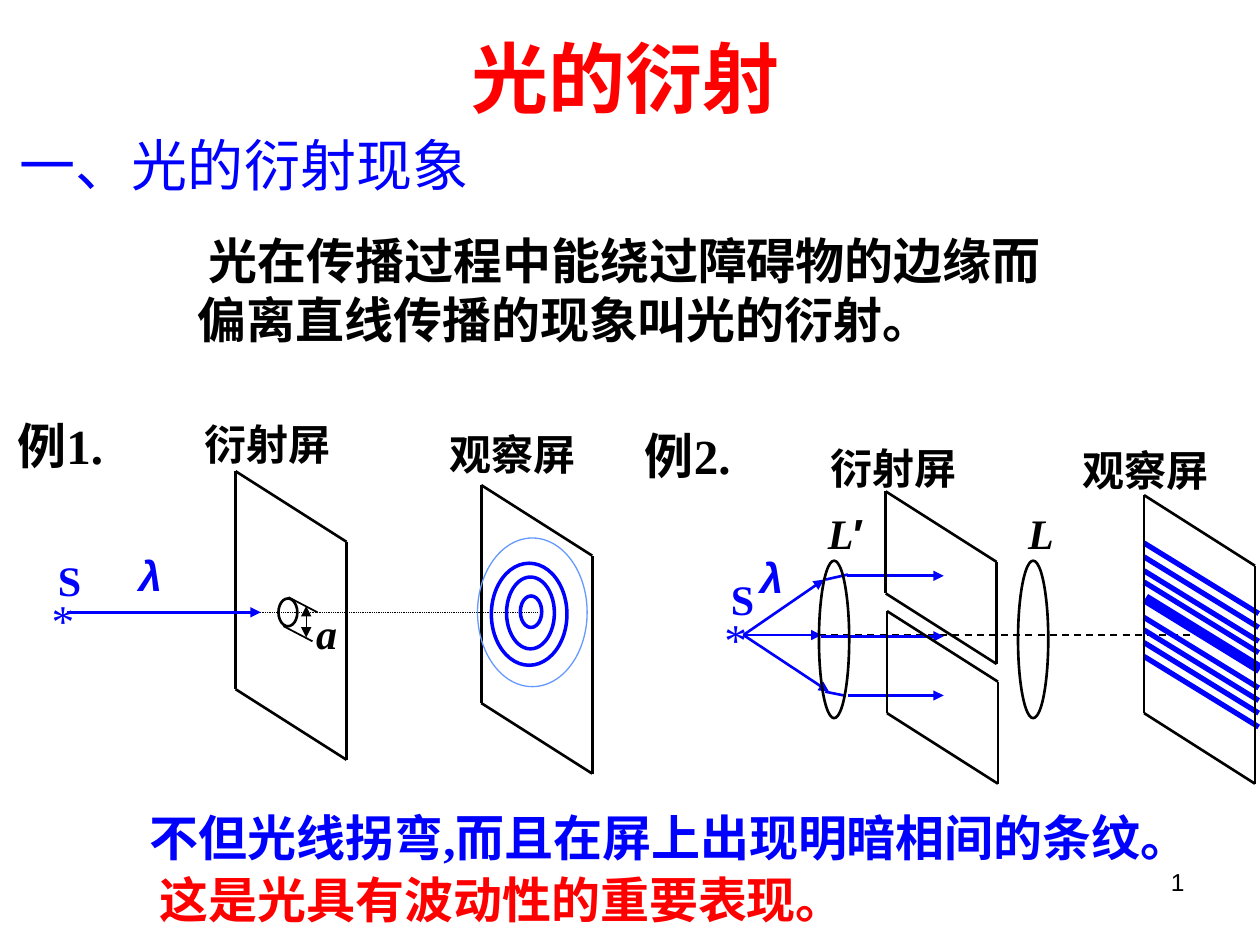
from lxml import etree
from pptx import Presentation
from pptx.dml.color import RGBColor
from pptx.enum.dml import MSO_LINE
from pptx.enum.shapes import MSO_CONNECTOR, MSO_SHAPE
from pptx.enum.text import MSO_ANCHOR, MSO_AUTO_SIZE, PP_ALIGN
from pptx.oxml.ns import qn
from pptx.util import Pt

PX = 9144
SLIDE_WIDTH, SLIDE_HEIGHT = 1000, 750
BLACK = RGBColor(0, 0, 0)
BLUE = RGBColor(0, 0, 255)
LIGHT_BLUE = RGBColor(102, 153, 255)
RED = RGBColor(255, 0, 0)
STRAIGHT, ELLIPSE = MSO_CONNECTOR.STRAIGHT, MSO_SHAPE.OVAL
DOT, DASH = MSO_LINE.ROUND_DOT, MSO_LINE.DASH
LEFT, CENTER, RIGHT, JUSTIFY = PP_ALIGN.LEFT, PP_ALIGN.CENTER, PP_ALIGN.RIGHT, PP_ALIGN.JUSTIFY
TOP, MIDDLE = MSO_ANCHOR.TOP, MSO_ANCHOR.MIDDLE
FIT_SHAPE, NO_FIT = MSO_AUTO_SIZE.SHAPE_TO_FIT_TEXT, MSO_AUTO_SIZE.NONE
TIMES, ARIAL = "Times New Roman", "Arial"
SANS_JP, SANS_SC = "Noto Sans CJK JP", "Noto Sans CJK SC"

TITLE = {"name": SANS_JP, "size": Pt(44), "bold": True}
HEADING = {"name": SANS_JP, "size": Pt(32), "bold": False}
DEFINITION = {"name": SANS_SC, "size": Pt(28), "bold": True}
STATEMENT = {"name": TIMES, "size": Pt(28), "bold": True}
LABEL = {"name": TIMES, "size": Pt(24), "bold": True}
SYMBOL = {**LABEL, "italic": True}
GREEK = {**SYMBOL, "name": ARIAL}
PRIME = {**LABEL, "name": ARIAL}
STAR = {"name": TIMES, "size": Pt(26), "bold": False}
NUMBER = {"name": ARIAL, "size": Pt(14), "bold": False}

PLANE_WIDTH, PLANE_RISE = 88, 56


def place(box, left, top):
    return (box[0] + left) * PX, (box[1] + top) * PX


def add_run(paragraph, text, style, color):
    run = paragraph.add_run()
    run.text = text
    for name, value in style.items():
        setattr(run.font, name, value)
    run.font.color.rgb = color
    east_asian = style["name"] if style["name"] in (SANS_JP, SANS_SC) else SANS_SC
    etree.SubElement(run.font._element, qn("a:ea"), typeface=east_asian)


def add_text(slide, box, area, lines, style, color, align=LEFT, anchor=TOP,
             wrap=False, inset=(10, 5)):
    left, top, width, height = area
    shape = slide.shapes.add_textbox(*place(box, left, top), width * PX, height * PX)
    frame = shape.text_frame
    settings = {
        "word_wrap": wrap,
        "auto_size": NO_FIT if wrap else FIT_SHAPE,
        "vertical_anchor": anchor,
        "margin_left": inset[0] * PX,
        "margin_right": inset[0] * PX,
        "margin_top": inset[1] * PX,
        "margin_bottom": inset[1] * PX,
    }
    for name, value in settings.items():
        setattr(frame, name, value)
    for index, text in enumerate(lines):
        paragraph = frame.add_paragraph() if index else frame.paragraphs[0]
        paragraph.alignment = align
        add_run(paragraph, text, style, color)
    return shape


def add_label(slide, box, area, text, style=LABEL, color=BLACK):
    return add_text(slide, box, area, [text], style, color, JUSTIFY, wrap=True, inset=(1, 1))


def add_line(slide, box, start, end, color=BLACK, weight=1.5, dash=None, arrows=()):
    connector = slide.shapes.add_connector(STRAIGHT, *place(box, *start), *place(box, *end))
    connector.line.color.rgb = color
    connector.line.width = Pt(weight)
    if dash:
        connector.line.dash_style = dash
    for arrow in arrows:
        etree.SubElement(connector.line._get_or_add_ln(), qn(arrow), type="triangle")
    etree.SubElement(connector._element.spPr, qn("a:effectLst"))


def add_ray(slide, box, start, end):
    add_line(slide, box, start, end, BLUE, arrows=["a:tailEnd"])


def add_ellipse(slide, box, area, color=BLACK, weight=1.5):
    left, top, width, height = area
    shape = slide.shapes.add_shape(ELLIPSE, *place(box, left, top), width * PX, height * PX)
    shape.shadow.inherit = False
    shape.fill.background()
    shape.line.color.rgb = color
    shape.line.width = Pt(weight)


def draw_plane(slide, box, left, top, height):
    right = left + PLANE_WIDTH
    for x, y in ((left, top), (right, top + PLANE_RISE)):
        add_line(slide, box, (x, y), (x, y + height))
    for y in (top, top + height):
        add_line(slide, box, (left, y), (right, y + PLANE_RISE))


def draw_source(slide, box, left, top):
    add_label(slide, box, (left, top + 30, 33, 43), "*", STAR, BLUE)
    add_label(slide, box, (left + 5, top, 36, 29), "S", LABEL, BLUE)


def draw_header(slide, box):
    add_text(slide, box, (130, 21, 733, 79), ["光的衍射"], TITLE, RED, CENTER, MIDDLE, wrap=True)
    add_text(slide, box, (6, 99, 451, 64), ["一、光的衍射现象"], HEADING, BLUE)
    definition = [" 光在传播过程中能绕过障碍物的边缘而", "偏离直线传播的现象叫光的衍射。"]
    add_text(slide, box, (147, 178, 689, 104), definition, DEFINITION, BLACK)


def draw_pinhole_example(slide, box):
    add_line(slide, box, (63, 161), (426, 161), weight=0.5, dash=DOT)
    add_text(slide, box, (4, 0, 97, 57), ["例1."], STATEMENT, BLACK)
    draw_source(slide, box, 40, 114)
    for left, top in ((187, 49), (382, 60)):
        draw_plane(slide, box, left, top, 173)
    add_label(slide, box, (161, 6, 129, 36), "衍射屏")
    add_label(slide, box, (356, 14, 126, 33), "观察屏")
    add_ellipse(slide, box, (221, 150, 15, 22))
    for left, top in ((229, 149), (225, 172)):
        add_line(slide, box, (left, top), (left + 23, top + 12), weight=1)
    add_line(slide, box, (243, 156), (243, 181), weight=0.75, arrows=["a:headEnd", "a:tailEnd"])
    add_label(slide, box, (250, 156, 37, 31), "a", SYMBOL)
    add_label(slide, box, (109, 110, 39, 37), "λ", GREEK, BLUE)
    add_ray(slide, box, (53, 161), (207, 161))
    for ring in ((413, 148, 17, 25), (402, 133, 38, 57), (390, 122, 60, 81)):
        add_ellipse(slide, box, ring, BLUE, 2)
    add_ellipse(slide, box, (379, 102, 87, 118), LIGHT_BLUE, 0.75)


def draw_slit_example(slide, box):
    add_line(slide, box, (92, 179), (454, 179), weight=1, dash=DASH)
    add_label(slide, box, (102, 112, 39, 40), "λ", GREEK, BLUE)
    draw_source(slide, box, 74, 129)
    for end in ((152, 179), (154, 135), (158, 224)):
        add_ray(slide, box, (90, 179), end)
    for left, top in ((152, 180), (172, 132), (173, 227)):
        add_ray(slide, box, (left, top), (249, top))
    for start, end in (((155, 224), (170, 227)), ((155, 135), (173, 131))):
        add_line(slide, box, start, end, BLUE)
    add_line(slide, box, (409, 150), (500, 206), BLUE, 6)
    for top in (106, 117, 128, 137, 165, 175, 185, 196):
        add_line(slide, box, (408, top), (499, top + PLANE_RISE), BLUE, 3)
    add_label(slide, box, (158, 25, 120, 19), "衍射屏")
    add_label(slide, box, (358, 27, 119, 32), "观察屏")
    for left, top, height in ((203, 65, 81), (204, 160, 81), (408, 68, 173)):
        draw_plane(slide, box, left, top, height)
    for left in (150, 308):
        add_ellipse(slide, box, (left, 120, 24, 125))
    first_lens = add_label(slide, box, (156, 77, 39, 38), "L", SYMBOL)
    add_run(first_lens.text_frame.paragraphs[0], "′", PRIME, BLACK)
    add_label(slide, box, (315, 77, 24, 31), "L", SYMBOL)
    add_text(slide, box, (2, 8, 97, 57), ["例2."], STATEMENT, BLACK)


def draw_conclusion(slide, box):
    add_text(slide, box, (109, 0, 864, 57), ["不但光线拐弯,而且在屏上出现明暗相间的条纹。"],
             STATEMENT, BLUE)
    add_text(slide, box, (117, 49, 563, 57), ["这是光具有波动性的重要表现。"], STATEMENT, RED)
    add_text(slide, box, (717, 47, 233, 52), ["1"], NUMBER, BLACK, RIGHT, wrap=True)


def main():
    presentation = Presentation()
    presentation.slide_width = SLIDE_WIDTH * PX
    presentation.slide_height = SLIDE_HEIGHT * PX
    slide = presentation.slides.add_slide(presentation.slide_layouts[6])
    draw_header(slide, (0, 0))
    draw_pinhole_example(slide, (0, 325))
    draw_slit_example(slide, (500, 325))
    draw_conclusion(slide, (0, 636))
    presentation.save("out.pptx")


if __name__ == "__main__":
    main()
